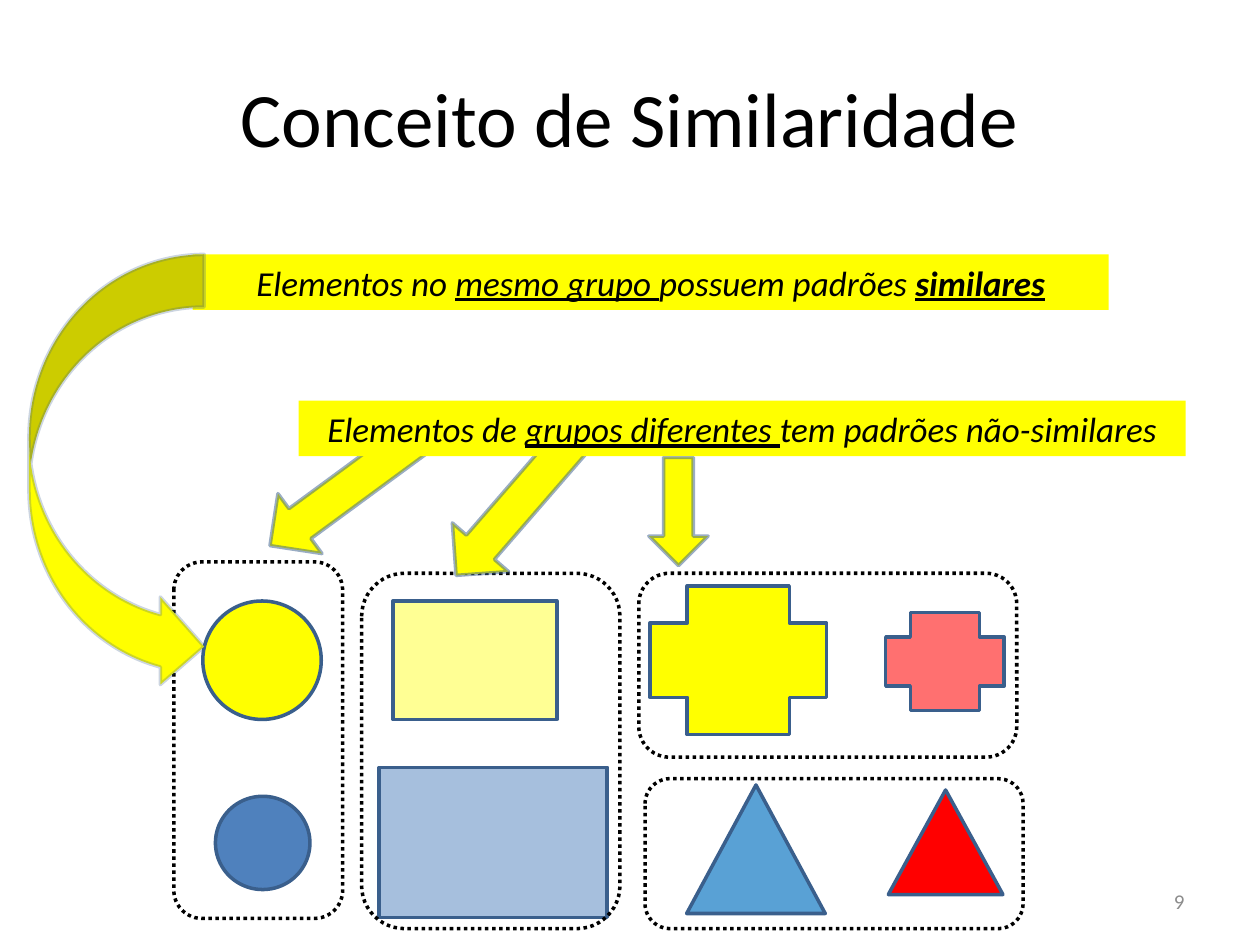
from lxml import etree
from pptx import Presentation
from pptx import util as u
from pptx.dml.color import RGBColor
from pptx.enum import dml, shapes, text
from pptx.oxml import ns

INK = {"yellow": "FFFF00", "blue": "4F81BD", "sky": "0070C0", "red": "FF0000",
       "edge": "3A5F8C", "black": "000000", "gray": "8C8C8C"}
KIND = shapes.MSO_SHAPE
ALIGN = text.PP_ALIGN


def paint(fill, ink, alpha=100):
    """Solid colour, with opacity in percent."""
    fill.solid()
    fill.fore_color.rgb = RGBColor.from_string(INK[ink])
    if alpha < 100:
        tint = fill._xPr.find(".//" + ns.qn("a:srgbClr"))
        etree.SubElement(tint, ns.qn("a:alpha")).set("val", str(alpha * 1000))


def add_form(slide, kind, box, ink=None, alpha=100, edge="edge", fade=100):
    form = slide.shapes.add_shape(kind, *map(u.Inches, box))
    form.shadow.inherit = False
    if ink:
        paint(form.fill, ink, alpha)
    else:
        form.fill.background()
    if edge:
        form.line.width = u.Pt(2)
        paint(form.line.fill, edge, fade)
    else:
        form.line.fill.background()
    return form


def add_group(slide, box):
    """Dotted frame around similar elements."""
    frame = add_form(slide, KIND.ROUNDED_RECTANGLE, box, edge="black")
    frame.line.dash_style = dml.MSO_LINE.ROUND_DOT


def add_arrow(slide, box, turn=0):
    arrow = add_form(slide, KIND.DOWN_ARROW, box, "yellow", fade=51)
    arrow.rotation = turn


def write(shape, runs, size, align=ALIGN.CENTER, ink="black", italic=None):
    """Fill one paragraph; runs are (words, style) with style of b and u."""
    frame = shape.text_frame
    frame.word_wrap = True
    frame.vertical_anchor = text.MSO_ANCHOR.MIDDLE
    para = frame.paragraphs[0]
    para.alignment = align
    font = para.font
    font.name, font.size, font.italic = "Calibri", u.Pt(size), italic
    font.color.rgb = RGBColor.from_string(INK[ink])
    for words, style in runs:
        run = para.add_run()
        run.text = words
        if "b" in style:
            run.font.bold = True
        if "u" in style:
            run.font.underline = True


def add_text(slide, box, words, size, **look):
    write(slide.shapes.add_textbox(*map(u.Inches, box)), [(words, "")], size, **look)


def add_banner(slide, box, runs):
    banner = add_form(slide, KIND.RECTANGLE, box, "yellow", edge=None)
    write(banner, runs, 20, italic=True)


def main():
    deck = Presentation()
    deck.slide_width, deck.slide_height = u.Inches(10), u.Inches(7.5)
    slide = deck.slides.add_slide(deck.slide_layouts[6])

    # Elements
    for item in (
        (KIND.OVAL, (1.61, 4.77, 0.94, 0.94), "yellow"),
        (KIND.RECTANGLE, (3.01, 6.09, 1.81, 1.19), "blue", 50),
        (KIND.ISOSCELES_TRIANGLE, (7.05, 6.27, 0.91, 0.83), "red"),
        (KIND.OVAL, (1.71, 6.32, 0.75, 0.74), "blue"),
        (KIND.RECTANGLE, (3.12, 4.77, 1.3, 0.94), "yellow", 42),
        (KIND.ISOSCELES_TRIANGLE, (5.45, 6.23, 1.1, 1.02), "sky", 65),
        (KIND.CROSS, (5.16, 4.65, 1.4, 1.18), "yellow"),
        (KIND.CROSS, (7.03, 4.86, 0.94, 0.78), "red", 56),
    ):
        add_form(slide, *item)

    # Title and page number
    add_text(slide, (0.5, 0.3, 9, 1.25), "Conceito de Similaridade", 44)
    add_text(slide, (7.17, 6.95, 2.33, 0.4), "9", 12, align=ALIGN.RIGHT, ink="gray")

    # Groups
    for box in ((1.38, 4.46, 1.34, 2.83), (2.87, 4.55, 2.05, 2.82),
                (5.07, 4.55, 3, 1.46), (5.12, 6.18, 3, 1.19)):
        add_group(slide, box)

    # Same group: banner and curved arrow
    add_banner(slide, (1.53, 2.02, 7.27, 0.44),
               [("Elementos no ", ""), ("mesmo grupo ", "u"),
                ("possuem padrões ", ""), ("similares", "bu")])
    curve = add_form(slide, KIND.CURVED_RIGHT_ARROW, (0.23, 2.02, 1.39, 3.46),
                     "yellow", fade=25)
    curve.adjustments[0] = 0.3

    # Different groups: arrows under their banner
    add_arrow(slide, (3.79, 3.32, 0.59, 1.42), 40.9)
    add_arrow(slide, (5.15, 3.63, 0.47, 0.86))
    add_arrow(slide, (2.42, 3.2, 0.59, 1.42), 53.7)
    add_banner(slide, (2.37, 3.18, 7.04, 0.44),
               [("Elementos de ", ""), ("grupos diferentes ", "u"),
                ("tem padrões não-similares", "")])

    deck.save("out.pptx")


if __name__ == "__main__":
    main()
